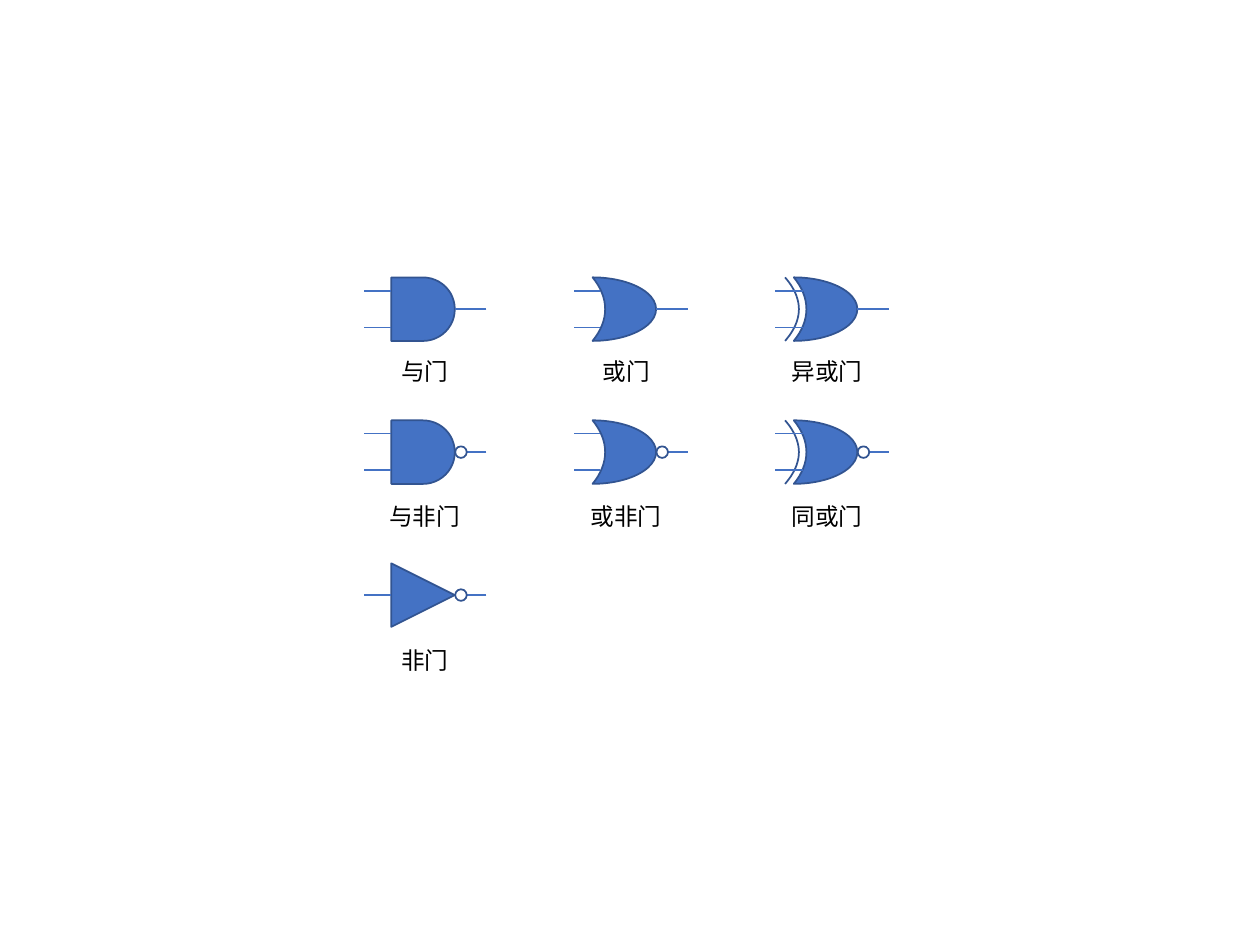
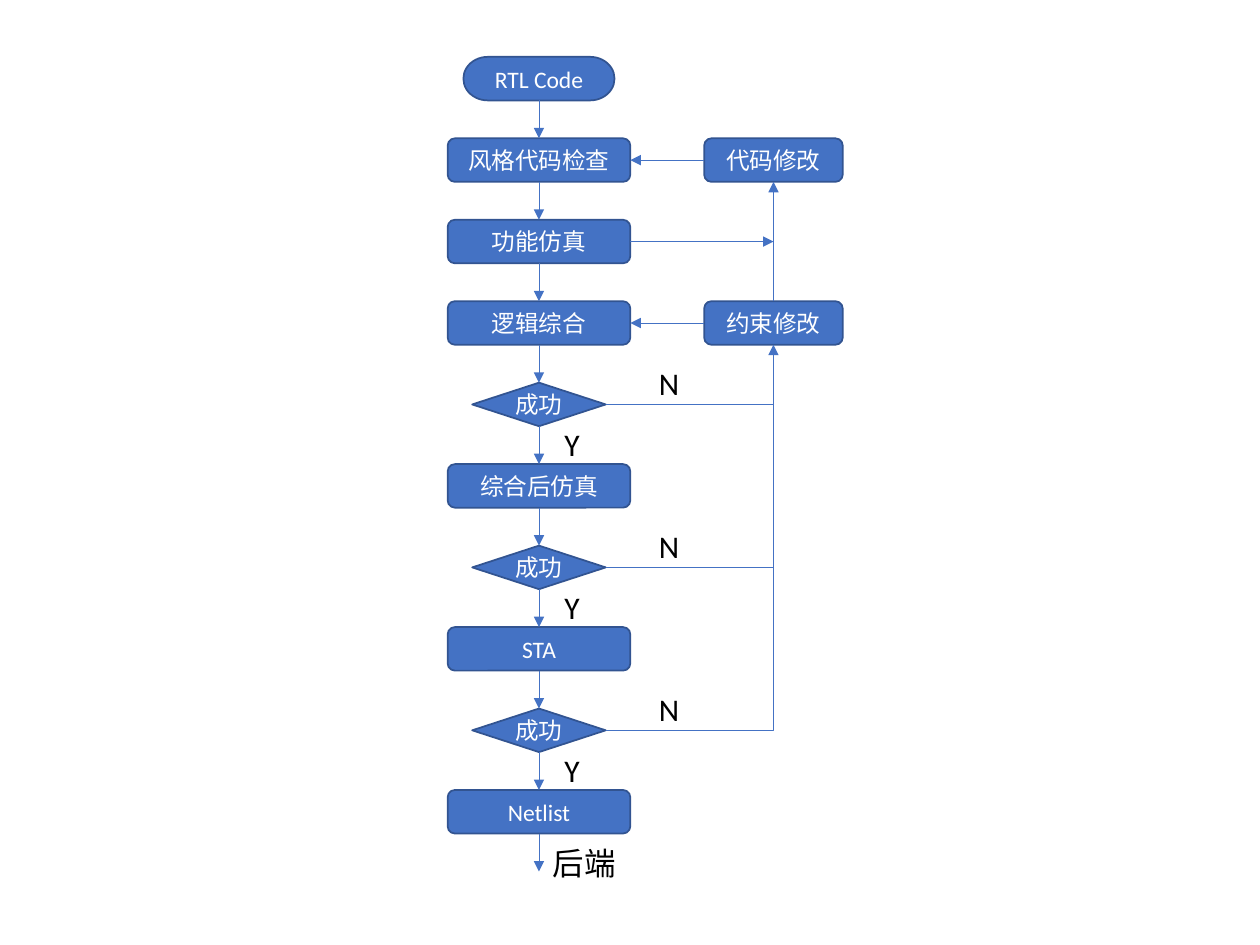
from dataclasses import dataclass

from lxml import etree
from pptx import Presentation
from pptx.dml.color import RGBColor
from pptx.enum.shapes import MSO_CONNECTOR, MSO_SHAPE
from pptx.enum.text import MSO_ANCHOR, MSO_AUTO_SIZE, PP_ALIGN
from pptx.oxml.ns import qn
from pptx.util import Pt

STRAIGHT, ELBOW = MSO_CONNECTOR.STRAIGHT, MSO_CONNECTOR.ELBOW
DELAY, MOON = MSO_SHAPE.FLOWCHART_DELAY, MSO_SHAPE.MOON
TRIANGLE, OVAL = MSO_SHAPE.ISOSCELES_TRIANGLE, MSO_SHAPE.OVAL
TERMINATOR = MSO_SHAPE.FLOWCHART_TERMINATOR
PROCESS = MSO_SHAPE.FLOWCHART_ALTERNATE_PROCESS
DECISION = MSO_SHAPE.FLOWCHART_DECISION
TOP, LEFT, BOTTOM, RIGHT = range(4)  # connection sites


@dataclass(frozen=True)
class Theme:
    fill: RGBColor = RGBColor(0x44, 0x72, 0xC4)
    outline: RGBColor = RGBColor(0x32, 0x54, 0x91)
    white: RGBColor = RGBColor(0xFF, 0xFF, 0xFF)
    black: RGBColor = RGBColor(0, 0, 0)
    font: str = "Calibri"
    body_size: float = 13.5
    note_size: float = 18
    outline_width: float = 1
    arrow_width: float = 0.5


THEME = Theme()

# Content: logic gates as (row, column, label, kind, inverted)
GATES = [
    (0, 0, "与门", "and", False),
    (0, 1, "或门", "or", False),
    (0, 2, "异或门", "xor", False),
    (1, 0, "与非门", "and", True),
    (1, 1, "或非门", "or", True),
    (1, 2, "同或门", "xor", True),
    (2, 0, "非门", "not", True),
]
# kind: body shape, rotation, input start and end from the body's left, input heights
GATE_KINDS = {
    "and": (DELAY, 0, -15.5, 0, (7.6, 28.6)),
    "or": (MOON, 180, -10.8, 4.5, (7.6, 28.6)),
    "xor": (MOON, 180, -10.8, 5, (7.6, 28.6)),
    "not": (TRIANGLE, 90, -15.5, 0, (18.3,)),
}

# Content: design flow from top to bottom, and the steps beside it by row
FLOW = [
    ("RTL Code", TERMINATOR),
    ("风格代码检查", PROCESS),
    ("功能仿真", PROCESS),
    ("逻辑综合", PROCESS),
    ("成功", DECISION),
    ("综合后仿真", PROCESS),
    ("成功", DECISION),
    ("STA", PROCESS),
    ("成功", DECISION),
    ("Netlist", PROCESS),
]
REVISIONS = {1: "代码修改", 3: "约束修改"}
YES, NO, NEXT_STAGE = "Y", "N", "后端"
STEP_WIDTHS = {TERMINATOR: 86.4, PROCESS: 104.4, DECISION: 76.3}


# Shared drawing helpers, all lengths in points
def write(frame, text, size, color):
    run = frame.paragraphs[0].add_run()
    run.text = text
    run.font.name = THEME.font
    run.font.size = Pt(size)
    run.font.color.rgb = color


def add_outline(shape):
    shape.shadow.inherit = False
    shape.line.color.rgb = THEME.outline
    shape.line.width = Pt(THEME.outline_width)


def add_block(slide, kind, left, top, width, height, fill=THEME.fill):
    block = slide.shapes.add_shape(kind, Pt(left), Pt(top), Pt(width), Pt(height))
    block.fill.solid()
    block.fill.fore_color.rgb = fill
    add_outline(block)
    return block


def add_step(slide, text, kind, center, top, width):
    step = add_block(slide, kind, center - width / 2, top, width, STEP_HEIGHT)
    frame = step.text_frame
    frame.margin_left = frame.margin_right = Pt(5.4)
    frame.margin_top = frame.margin_bottom = Pt(2.7)
    frame.vertical_anchor = MSO_ANCHOR.MIDDLE
    frame.paragraphs[0].alignment = PP_ALIGN.CENTER
    write(frame, text, THEME.body_size, THEME.white)
    return step


def add_label(slide, text, left, top, width, height, size):
    frame = slide.shapes.add_textbox(Pt(left), Pt(top), Pt(width), Pt(height)).text_frame
    frame.word_wrap = False
    frame.auto_size = MSO_AUTO_SIZE.SHAPE_TO_FIT_TEXT
    write(frame, text, size, THEME.black)


def add_wire(slide, start, end, width, arrow=False, kind=STRAIGHT):
    wire = slide.shapes.add_connector(kind, *map(Pt, start + end))
    wire.line.color.rgb = THEME.fill
    wire.line.width = Pt(width)
    properties = wire.element.spPr
    if arrow:
        etree.SubElement(properties.find(qn("a:ln")), qn("a:tailEnd"), type="triangle")
    etree.SubElement(properties, qn("a:effectLst"))
    return wire


def link(slide, source, source_site, target, target_site, kind=STRAIGHT):
    wire = add_wire(slide, (0, 0), (0, 0), THEME.arrow_width, True, kind)
    wire.begin_connect(source, source_site)
    wire.end_connect(target, target_site)
    return wire


presentation = Presentation()
presentation.slide_width, presentation.slide_height = Pt(720), Pt(540)
blank_layout = presentation.slide_layouts[6]

# Slide 1: logic gates on a grid
GATE_SIZE, BUBBLE_SIZE, OUTPUT_LENGTH = 36.3, 6.6, 18
GATE_LEFT, GATE_TOP = 223.6, 158.5
COLUMN_PITCH, ROW_PITCH = 115, 81.7
LABEL_TOP, LABEL_PITCH = 200.2, 82.8
ARC_STEPS = 24


def add_xor_arc(slide, left, top):
    """Draw the extra input curve, bulging to the right."""
    points = []
    for step in range(ARC_STEPS + 1):
        t = 2 * step / ARC_STEPS - 1
        points.append((Pt(left - 5 + 7.9 * (1 - t * t)),
                       Pt(top + GATE_SIZE * (t + 1) / 2)))
    builder = slide.shapes.build_freeform(*points[0])
    builder.add_line_segments(points[1:], close=False)
    arc = builder.convert_to_shape()
    arc.fill.background()
    add_outline(arc)


gates_slide = presentation.slides.add_slide(blank_layout)
for row, column, label, kind, inverted in GATES:
    left = GATE_LEFT + column * COLUMN_PITCH
    top = GATE_TOP + row * ROW_PITCH
    right, middle = left + GATE_SIZE, top + GATE_SIZE / 2
    body, rotation, input_start, input_end, input_heights = GATE_KINDS[kind]

    # Body
    gate = add_block(gates_slide, body, left, top, GATE_SIZE, GATE_SIZE)
    gate.rotation = rotation
    if body == MOON:
        gate.adjustments[0] = 0.802
    if kind == "xor":
        add_xor_arc(gates_slide, left, top)

    # Inputs, output and inversion bubble
    for height in input_heights:
        add_wire(gates_slide, (left + input_end, top + height),
                 (left + input_start, top + height), THEME.outline_width)
    add_wire(gates_slide, (right + OUTPUT_LENGTH, middle), (right, middle),
             THEME.outline_width)
    if inverted:
        add_block(gates_slide, OVAL, right + 0.2, middle - BUBBLE_SIZE / 2,
                  BUBBLE_SIZE, BUBBLE_SIZE, THEME.white)

    # Label
    label_width = THEME.body_size * len(label) + 14.6
    add_label(gates_slide, label, left + (GATE_SIZE - label_width) / 2 + 1.3,
              LABEL_TOP + row * LABEL_PITCH, label_width, 24, THEME.body_size)

# Slide 2: design flow with its revision loops
STEP_HEIGHT, STEP_PITCH, FLOW_TOP = 24.9, 46.55, 32.5
FLOW_CENTER, REVISION_CENTER, REVISION_WIDTH = 308, 442, 79.2
NOTE_HEIGHT = 29

flow_slide = presentation.slides.add_slide(blank_layout)
step_tops = [FLOW_TOP + index * STEP_PITCH for index in range(len(FLOW))]
steps = [add_step(flow_slide, text, kind, FLOW_CENTER, top, STEP_WIDTHS[kind])
         for (text, kind), top in zip(FLOW, step_tops)]
revisions = {row: add_step(flow_slide, text, PROCESS, REVISION_CENTER,
                           step_tops[row], REVISION_WIDTH)
             for row, text in REVISIONS.items()}

# Downward arrows and the exit to the next stage
for upper, lower in zip(steps, steps[1:]):
    link(flow_slide, upper, BOTTOM, lower, TOP)
flow_end = step_tops[-1] + STEP_HEIGHT
add_wire(flow_slide, (FLOW_CENTER, flow_end), (FLOW_CENTER, step_tops[-1] + STEP_PITCH),
         THEME.arrow_width, True)
add_label(flow_slide, NEXT_STAGE, 308.9, flow_end + 2.5, 51, NOTE_HEIGHT, THEME.note_size)

# Revision loops
for row, revision in revisions.items():
    link(flow_slide, revision, LEFT, steps[row], RIGHT)
code_revision, constraint_revision = revisions.values()
link(flow_slide, constraint_revision, TOP, code_revision, BOTTOM)
decision_rows = [row for row, (_, kind) in enumerate(FLOW) if kind == DECISION]
return_path = link(flow_slide, steps[decision_rows[-1]], RIGHT,
                   constraint_revision, BOTTOM, ELBOW)
return_path.element.spPr.find(qn("a:prstGeom")).set("prst", "bentConnector2")

# Branches that join the loops: simulation, then the earlier decisions
for row in [2] + decision_rows[:-1]:
    kind = FLOW[row][1]
    middle = step_tops[row] + STEP_HEIGHT / 2
    add_wire(flow_slide, (FLOW_CENTER + STEP_WIDTHS[kind] / 2, middle),
             (REVISION_CENTER, middle), THEME.arrow_width, kind == PROCESS)

# Decision outcomes
for row in decision_rows:
    add_label(flow_slide, YES, 315.4, step_tops[row] + 20.6, 23.8, NOTE_HEIGHT,
              THEME.note_size)
    add_label(flow_slide, NO, 369.4, step_tops[row] - 14.4, 26, NOTE_HEIGHT,
              THEME.note_size)

presentation.save("out.pptx")
